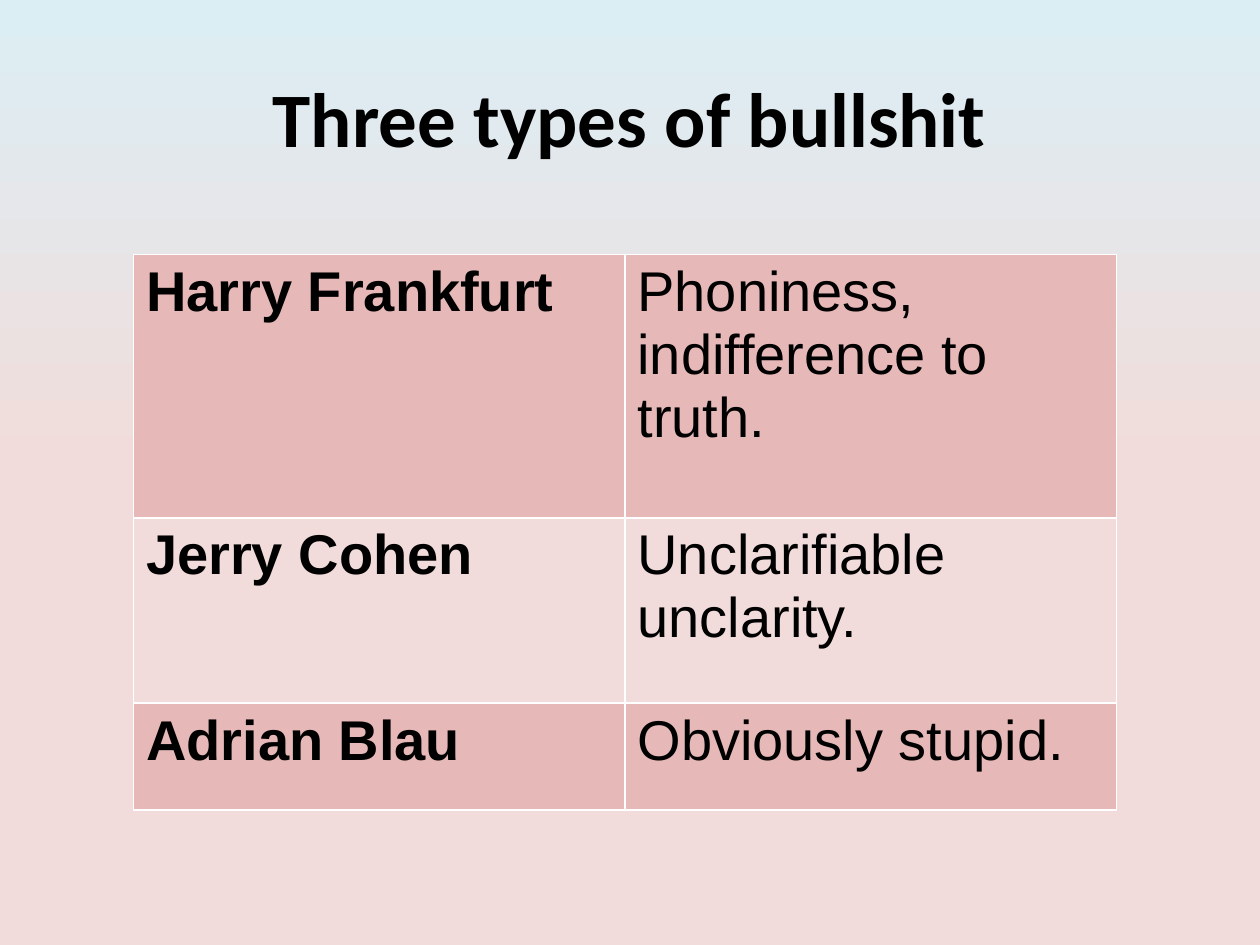
from lxml import etree
from pptx import Presentation
from pptx.dml.color import RGBColor
from pptx.enum.text import MSO_ANCHOR, PP_ALIGN
from pptx.oxml.ns import qn
from pptx.util import Inches, Pt

MIDDLE = MSO_ANCHOR.MIDDLE
LEFT, CENTER = PP_ALIGN.LEFT, PP_ALIGN.CENTER

TITLE = "Three types of bullshit"
ROWS = [
    ("Harry Frankfurt", "Phoniness, indifference to truth.", 2.09),
    ("Jerry Cohen", "Unclarifiable unclarity.", 1.47),
    ("Adrian Blau", "Obviously stupid.", 0.85),
]
COLORS = {
    "sky": "DBEEF4",
    "pale": "F2DCDB",
    "rose": "E6B9B8",
    "text": "000000",
    "edge": "FFFFFF",
}
BANDS = ("rose", "pale")
COL_WIDTH = 3.9


def rgb(name):
    return RGBColor.from_string(COLORS[name])


def write(frame, text, font="Arial", size=32, bold=False, align=LEFT):
    para = frame.paragraphs[0]
    para.alignment = align
    run = para.add_run()
    run.text = text
    run.font.name = font
    run.font.size = Pt(size)
    run.font.bold = bold
    run.font.color.rgb = rgb("text")


def paint(slide):
    """Fade the background downward, reaching the pale tone halfway."""
    fill = slide.background.fill
    fill.gradient()
    fill.gradient_angle = 270
    stops = zip(fill.gradient_stops, ("sky", "pale"), (0, 0.5))
    for stop, color, place in stops:
        stop.color.rgb = rgb(color)
        stop.position = place


def edge(cell):
    """Draw a thin line on all four sides; must precede the cell fill."""
    props = cell._tc.get_or_add_tcPr()
    for side in ("a:lnL", "a:lnR", "a:lnT", "a:lnB"):
        line = etree.SubElement(props, qn(side), w=str(Pt(1)))
        solid = etree.SubElement(line, qn("a:solidFill"))
        etree.SubElement(solid, qn("a:srgbClr"), val=COLORS["edge"])


def add_title(slide):
    title = slide.shapes.title
    title.left, title.top = Inches(0.5), Inches(0.3)
    title.width, title.height = Inches(9), Inches(1.25)
    title.text_frame.vertical_anchor = MIDDLE
    write(title.text_frame, TITLE, font="Calibri", size=44, bold=True,
          align=CENTER)


def add_types(slide):
    height = sum(row[-1] for row in ROWS)
    table = slide.shapes.add_table(
        len(ROWS), 2, Inches(1.06), Inches(2.02),
        Inches(2 * COL_WIDTH), Inches(height)).table
    table.first_row = table.horz_banding = False
    for col in table.columns:
        col.width = Inches(COL_WIDTH)
    for r, (*texts, tall) in enumerate(ROWS):
        table.rows[r].height = Inches(tall)
        for c, text in enumerate(texts):
            cell = table.cell(r, c)
            edge(cell)
            cell.fill.solid()
            cell.fill.fore_color.rgb = rgb(BANDS[r % 2])
            write(cell.text_frame, text, bold=c == 0)


def main():
    deck = Presentation()
    deck.slide_width, deck.slide_height = Inches(10), Inches(7.5)
    slide = deck.slides.add_slide(deck.slide_layouts[5])
    paint(slide)
    add_title(slide)
    add_types(slide)
    deck.save("out.pptx")


if __name__ == "__main__":
    main()
